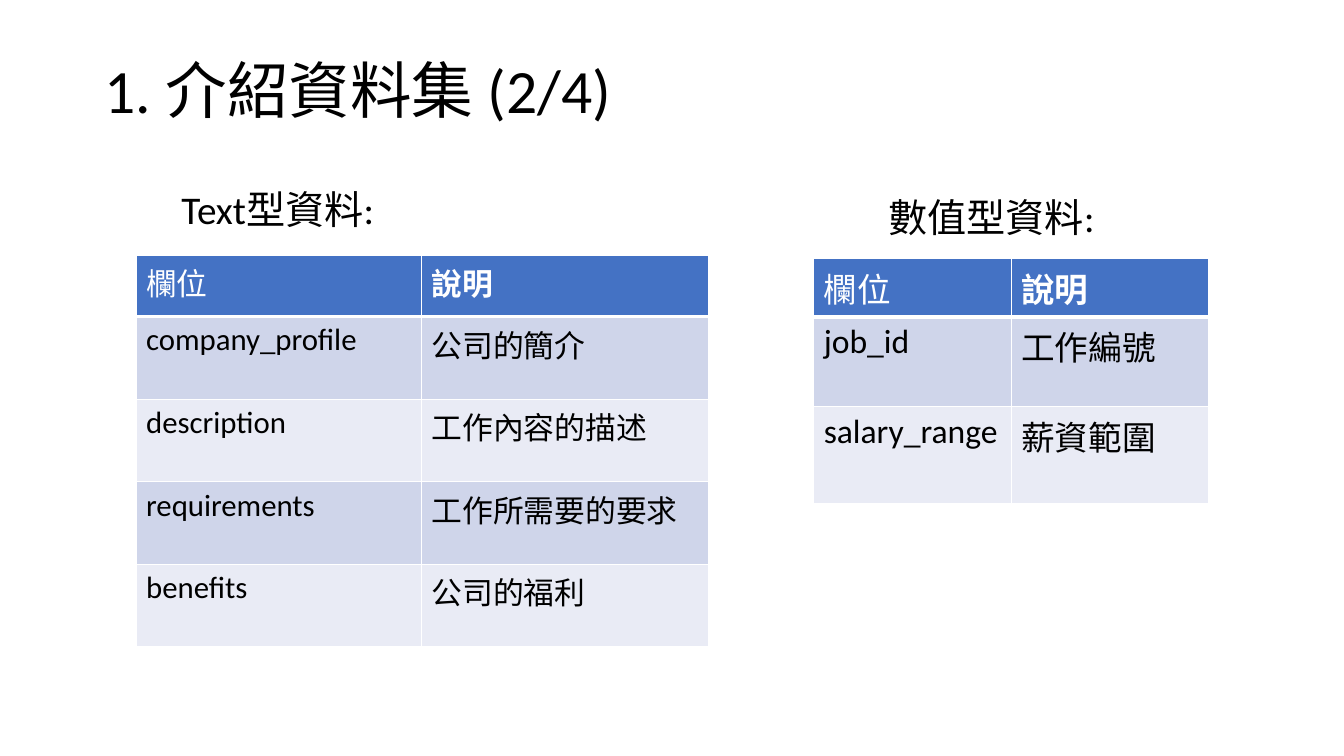
from dataclasses import dataclass

from lxml import etree
from pptx import Presentation
from pptx.dml.color import RGBColor
from pptx.enum.text import MSO_ANCHOR, MSO_AUTO_SIZE, PP_ALIGN
from pptx.oxml.ns import qn
from pptx.util import Inches, Pt

TOP, MIDDLE = MSO_ANCHOR.TOP, MSO_ANCHOR.MIDDLE
LEFT = PP_ALIGN.LEFT
NO_AUTOFIT = MSO_AUTO_SIZE.NONE
COMPARISON_LAYOUT = 4


@dataclass(frozen=True)
class Theme:
    latin: str = "Calibri"
    asian: str = "Noto Sans CJK SC"
    ink: str = "000000"
    white: str = "FFFFFF"
    header: str = "4472C4"
    bands: tuple = ("CFD5EA", "E9EBF5")
    title_size: int = 44
    heading_size: int = 28
    thin: int = 1
    thick: int = 3


class SlideBuilder:
    def __init__(self, slide, theme):
        self.s = slide
        self.theme = theme

    def run(self, p, text, size, color, bold=False):
        r = p.add_run()
        r.text = text
        r.font.size = Pt(size)
        r.font.bold = bold
        r.font.name = self.theme.latin
        r.font.color.rgb = RGBColor.from_string(color)
        ea = etree.SubElement(r.font._element, qn("a:ea"))
        ea.set("typeface", self.theme.asian)

    def placeholder(self, idx, box, text, size, anchor):
        sp = self.s.placeholders[idx]
        sp.left, sp.top, sp.width, sp.height = map(Inches, box)
        tf = sp.text_frame
        tf.word_wrap = True
        tf.auto_size = NO_AUTOFIT
        tf.vertical_anchor = anchor
        p = tf.paragraphs[0]
        p.alignment = LEFT
        p.line_spacing = 0.9
        p.space_before = Pt(0)
        self.run(p, text, size, self.theme.ink)

    def title(self, box, text):
        self.placeholder(0, box, text, self.theme.title_size, TOP)

    def heading(self, idx, box, text):
        self.placeholder(idx, box, text, self.theme.heading_size, MIDDLE)

    def borders(self, cell, top, bottom):
        tc_pr = cell._tc.get_or_add_tcPr()
        widths = {"a:lnL": self.theme.thin, "a:lnR": self.theme.thin,
                  "a:lnT": top, "a:lnB": bottom}
        for tag, width in widths.items():
            ln = etree.SubElement(tc_pr, qn(tag), w=str(Pt(width)))
            fill = etree.SubElement(ln, qn("a:solidFill"))
            etree.SubElement(fill, qn("a:srgbClr"), val=self.theme.white)

    def table(self, left, top, col_widths, row_heights, rows, size):
        """Add a banded table whose first row is the header."""
        th = self.theme
        frame = self.s.shapes.add_table(
            len(rows), len(col_widths), Inches(left), Inches(top),
            Inches(sum(col_widths)), Inches(sum(row_heights)))
        table = frame.table
        for column, width in zip(table.columns, col_widths):
            column.width = Inches(width)
        for i, (row, height) in enumerate(zip(rows, row_heights)):
            table.rows[i].height = Inches(height)
            is_header = i == 0
            fill = th.header if is_header else th.bands[(i - 1) % 2]
            color = th.white if is_header else th.ink
            for j, text in enumerate(row):
                cell = table.cell(i, j)
                self.borders(cell, th.thick if i == 1 else th.thin,
                             th.thick if is_header else th.thin)
                cell.fill.solid()
                cell.fill.fore_color.rgb = RGBColor.from_string(fill)
                self.run(cell.text_frame.paragraphs[0], text, size, color,
                         bold=is_header and j == 1)

    def remove_empty_placeholders(self):
        for sp in list(self.s.placeholders):
            if not sp.text_frame.text:
                sp._element.getparent().remove(sp._element)


HEADER = ("欄位", "說明")
TEXT_FIELDS = [
    HEADER,
    ("company_profile", "公司的簡介"),
    ("description", "工作內容的描述"),
    ("requirements", "工作所需要的要求"),
    ("benefits", "公司的福利"),
]
NUMERIC_FIELDS = [
    HEADER,
    ("job_id", "工作編號"),
    ("salary_range", "薪資範圍"),
]


def main():
    prs = Presentation()
    prs.slide_width, prs.slide_height = Inches(13.33), Inches(7.5)
    slide = prs.slides.add_slide(prs.slide_layouts[COMPARISON_LAYOUT])
    builder = SlideBuilder(slide, Theme())

    builder.title((0.8, 0.55, 5.4, 1.12), " 1. 介紹資料集 (2/4)")
    builder.heading(1, (1.7, 1.67, 2.35, 0.86), "Text型資料:")
    builder.heading(3, (8.71, 1.75, 2.35, 0.86), "數值型資料:")
    builder.remove_empty_placeholders()
    builder.table(1.35, 2.53, (2.83, 2.85), [0.61] + [0.82] * 4,
                  TEXT_FIELDS, size=22)
    builder.table(8.07, 2.56, (1.96, 1.96), (0.53, 0.89, 0.96),
                  NUMERIC_FIELDS, size=24)

    prs.save("out.pptx")


if __name__ == "__main__":
    main()
